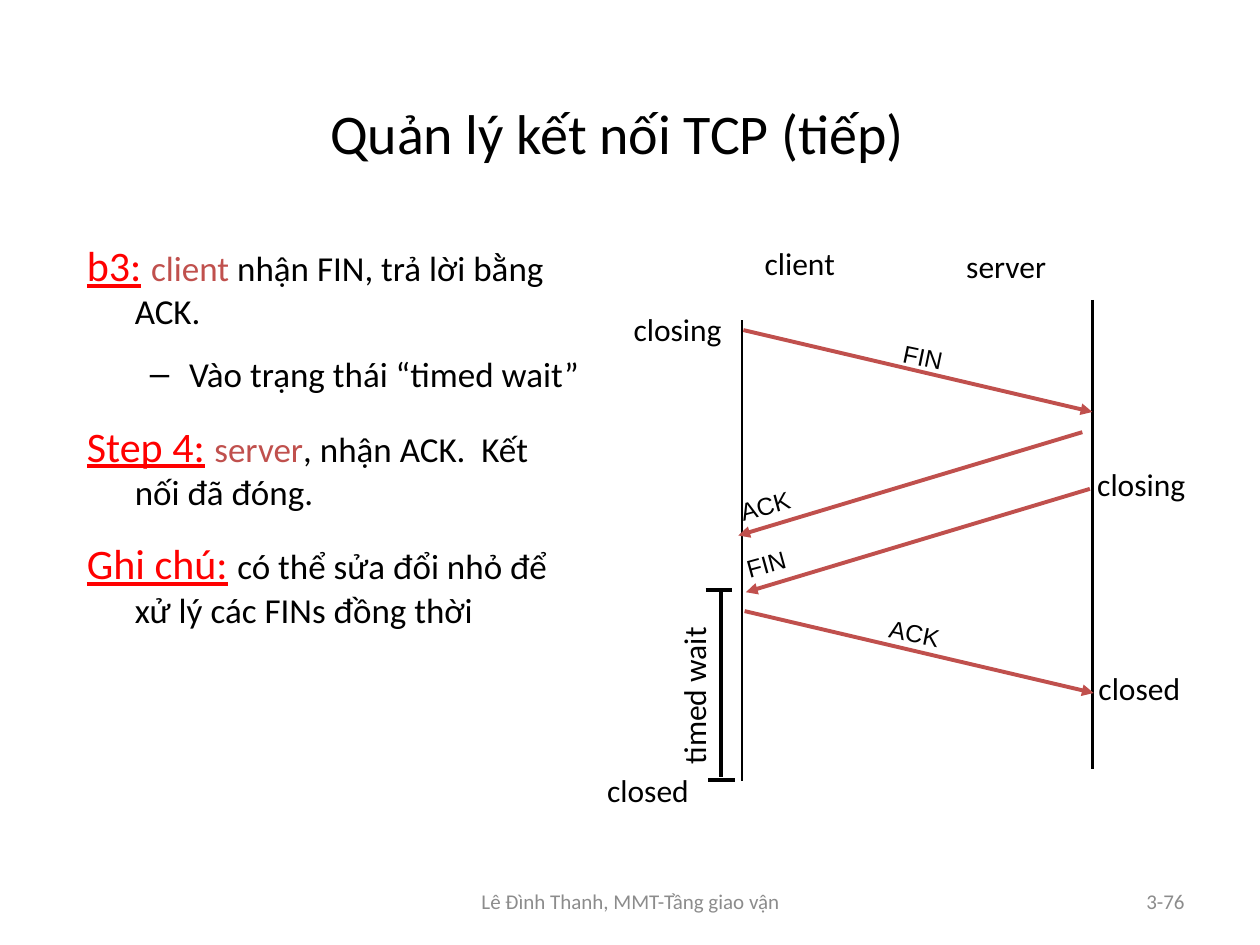
import pptx
import pptx.util
import pptx.dml.color
import pptx.enum.shapes
import pptx.enum.text
import pptx.oxml
import pptx.oxml.ns

Inches, Pt = pptx.util.Inches, pptx.util.Pt
rgb = pptx.dml.color.RGBColor.from_string
ALIGN, ANCHOR = pptx.enum.text.PP_ALIGN, pptx.enum.text.MSO_ANCHOR
AUTO = pptx.enum.text.MSO_AUTO_SIZE
BLACK, RED, BRICK, GREY = "000000", "FF0000", "C0504D", "8C8C8C"


def add_run(p, text, size, color=BLACK, font="Calibri", underline=False):
    r = p.add_run()
    r.text = text
    r.font.size = Pt(size)
    r.font.name = font
    r.font.underline = underline
    r.font.color.rgb = rgb(color)


def add_xml(parent, tag, **attributes):
    el = pptx.oxml.parse_xml(f"<a:{tag} {pptx.oxml.ns.nsdecls('a')}/>")
    for name, value in attributes.items():
        el.set(name, value)
    parent.append(el)


prs = pptx.Presentation()
prs.slide_width, prs.slide_height = Inches(10), Inches(7.5)
s = prs.slides.add_slide(prs.slide_layouts[1])

# Title
title = s.shapes.title
title.left, title.top, title.width, title.height = map(Inches, (0.65, 0.56, 8.5, 0.98))
title.text_frame.vertical_anchor = ANCHOR.MIDDLE
p = title.text_frame.paragraphs[0]
p.alignment = ALIGN.CENTER
add_run(p, "Quản lý kết nối TCP (tiếp)", 32)

# Steps: heading, highlighted word, remaining text; no heading means a sub-item
body = s.placeholders[1]
body.left, body.top, body.width, body.height = map(Inches, (0.59, 1.85, 4.11, 3.78))
tf = body.text_frame
tf.auto_size = AUTO.NONE
steps = [
    ("b3:", "client", " nhận FIN, trả lời bằng ACK."),
    ("", "", "Vào trạng thái “timed wait”"),
    ("Step 4:", "server", ", nhận ACK.  Kết nối đã đóng."),
    ("Ghi chú:", "", "có thể sửa đổi nhỏ để xử lý các FINs đồng thời"),
]
for i, (heading, actor, rest) in enumerate(steps):
    p = tf.add_paragraph() if i else tf.paragraphs[0]
    p.level = 0 if heading else 1
    margin, indent, space = (0.38, -0.38, 14.4) if heading else (0.81, -0.31, 12)
    pPr = p._p.get_or_add_pPr()
    pPr.set("marL", str(Inches(margin)))
    pPr.set("indent", str(Inches(indent)))
    if heading:
        add_xml(pPr, "buNone")
    else:
        add_xml(pPr, "buChar", char="–")
    p.space_before = Pt(space if i else 0)
    if heading:
        add_run(p, heading, 24, RED, underline=True)
        add_run(p, " ", 24)
    if actor:
        add_run(p, actor, 20, BRICK)
    add_run(p, rest, 20)

# Timelines, timed-wait bracket and messages: x1, y1, x2, y2, colour, width, arrow
lines = [
    (5.89, 2.54, 5.89, 6.2, BLACK, 1.5, False),
    (8.67, 2.38, 8.67, 6.1, BLACK, 1.5, False),
    (5.72, 4.7, 5.72, 6.17, BLACK, 2.25, False),
    (5.6, 4.68, 5.81, 4.68, BLACK, 2.25, False),
    (5.62, 6.19, 5.83, 6.19, BLACK, 2.25, False),
    (5.9, 2.62, 8.67, 3.27, BRICK, 2.25, True),
    (8.59, 3.43, 5.86, 4.25, BRICK, 2.25, True),
    (8.65, 3.88, 5.92, 4.7, BRICK, 2.25, True),
    (5.91, 4.85, 8.68, 5.5, BRICK, 2.25, True),
]
for x1, y1, x2, y2, color, width, arrow in lines:
    line = s.shapes.add_connector(
        pptx.enum.shapes.MSO_CONNECTOR.STRAIGHT,
        Inches(x1), Inches(y1), Inches(x2), Inches(y2))
    line.line.color.rgb = rgb(color)
    line.line.width = Pt(width)
    if arrow:
        add_xml(line.line._get_or_add_ln(), "tailEnd", type="triangle")
    add_xml(line._element.spPr, "effectLst")

# Labels: text, left, top, width, height, rotation, size, font, wrap
labels = [
    ("client", 5.97, 1.89, 0.78, 0.37, 0, 18, "Calibri", False),
    ("server", 7.57, 1.91, 0.88, 0.37, 0, 18, "Calibri", False),
    ("closing", 4.93, 2.41, 0.98, 0.4, 0, 18, "Calibri", False),
    ("closing", 8.61, 3.64, 0.98, 0.4, 0, 18, "Calibri", False),
    ("closed", 4.72, 6.07, 0.94, 0.4, 0, 18, "Calibri", False),
    ("closed", 8.62, 5.26, 0.94, 0.4, 0, 18, "Calibri", False),
    ("timed wait", 4.79, 5.25, 1.43, 0.4, 270, 18, "Calibri", False),
    ("FIN", 7.07, 2.67, 0.56, 0.33, 11.8, 14, "Arial", False),
    ("ACK", 5.73, 3.53, 2.99, 0.33, 344.6, 14, "Arial", True),
    ("FIN", 5.78, 3.98, 2.99, 0.33, 344.6, 14, "Arial", True),
    ("ACK", 6.96, 4.86, 0.6, 0.33, 11.8, 14, "Arial", False),
]
for text, x, y, w, h, rotation, size, font, wrap in labels:
    sp = s.shapes.add_textbox(Inches(x), Inches(y), Inches(w), Inches(h))
    sp.rotation = rotation
    sp.text_frame.word_wrap = wrap
    sp.text_frame.auto_size = AUTO.SHAPE_TO_FIT_TEXT
    add_run(sp.text_frame.paragraphs[0], text, size, font=font)

# Footer and slide number
for text, x, w, alignment in [
    ("Lê Đình Thanh, MMT-Tầng giao vận", 3.42, 3.17, ALIGN.CENTER),
    ("3-76", 7.17, 2.33, ALIGN.RIGHT),
]:
    sp = s.shapes.add_textbox(Inches(x), Inches(6.95), Inches(w), Inches(0.4))
    sp.text_frame.word_wrap = True
    sp.text_frame.vertical_anchor = ANCHOR.MIDDLE
    p = sp.text_frame.paragraphs[0]
    p.alignment = alignment
    add_run(p, text, 12, GREY)

prs.save("out.pptx")
